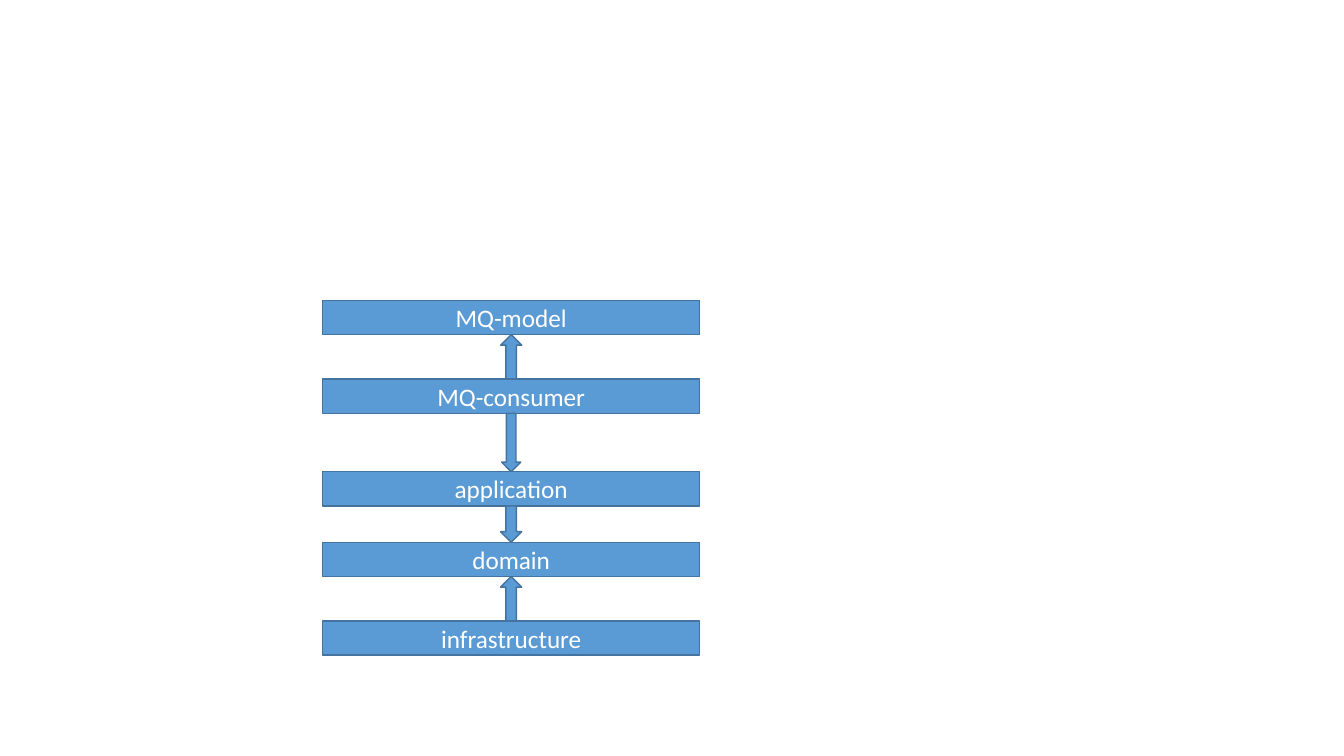
from pptx import Presentation
from pptx.dml.color import RGBColor
from pptx.enum.shapes import MSO_SHAPE
from pptx.enum.text import MSO_ANCHOR, PP_ALIGN
from pptx.util import Inches, Pt

LAYERS = ["MQ-model", "MQ-consumer", "application", "domain", "infrastructure"]
DEPENDENCIES = [
    {"direction": MSO_SHAPE.UP_ARROW, "rows": 22, "columns": 10.5},
    {"direction": MSO_SHAPE.DOWN_ARROW, "rows": 29, "columns": 9.5},
    {"direction": MSO_SHAPE.DOWN_ARROW, "rows": 18, "columns": 10.5},
    {"direction": MSO_SHAPE.UP_ARROW, "rows": 22, "columns": 10.5},
]
COLORS = {"fill": "5B9BD5", "outline": "43739E", "label": "FFFFFF"}
FONT = "Calibri"

CELL = 0.02
LEFT, TOP = 160, 149
LAYER_COLUMNS, LAYER_ROWS = 187, 17
CENTER = LEFT + LAYER_COLUMNS / 2


def color(name):
    return RGBColor.from_string(COLORS[name])


def add_block(slide, kind, column, row, columns, rows):
    cells = (column, row, columns, rows)
    block = slide.shapes.add_shape(kind, *(Inches(n * CELL) for n in cells))
    block.shadow.inherit = False
    block.fill.solid()
    block.fill.fore_color.rgb = color("fill")
    block.line.color.rgb = color("outline")
    block.line.width = Pt(1)
    return block


def write(block, text, size=18, font=FONT, ink="label", align=PP_ALIGN.CENTER):
    frame = block.text_frame
    frame.word_wrap = True
    frame.vertical_anchor = MSO_ANCHOR.MIDDLE
    paragraph = frame.paragraphs[0]
    paragraph.alignment = align
    run = paragraph.add_run()
    run.text = text
    run.font.size = Pt(size)
    run.font.name = font
    run.font.color.rgb = color(ink)


def main():
    deck = Presentation()
    deck.slide_width, deck.slide_height = Inches(13.33), Inches(7.5)
    slide = deck.slides.add_slide(deck.slide_layouts[6])

    row = TOP
    for index, layer in enumerate(LAYERS):
        block = add_block(slide, MSO_SHAPE.RECTANGLE, LEFT, row, LAYER_COLUMNS, LAYER_ROWS)
        write(block, layer)
        row += LAYER_ROWS
        if index < len(DEPENDENCIES):
            link = DEPENDENCIES[index]
            add_block(slide, link["direction"], CENTER - link["columns"] / 2, row,
                      link["columns"], link["rows"])
            row += link["rows"]

    deck.save("out.pptx")


if __name__ == "__main__":
    main()
